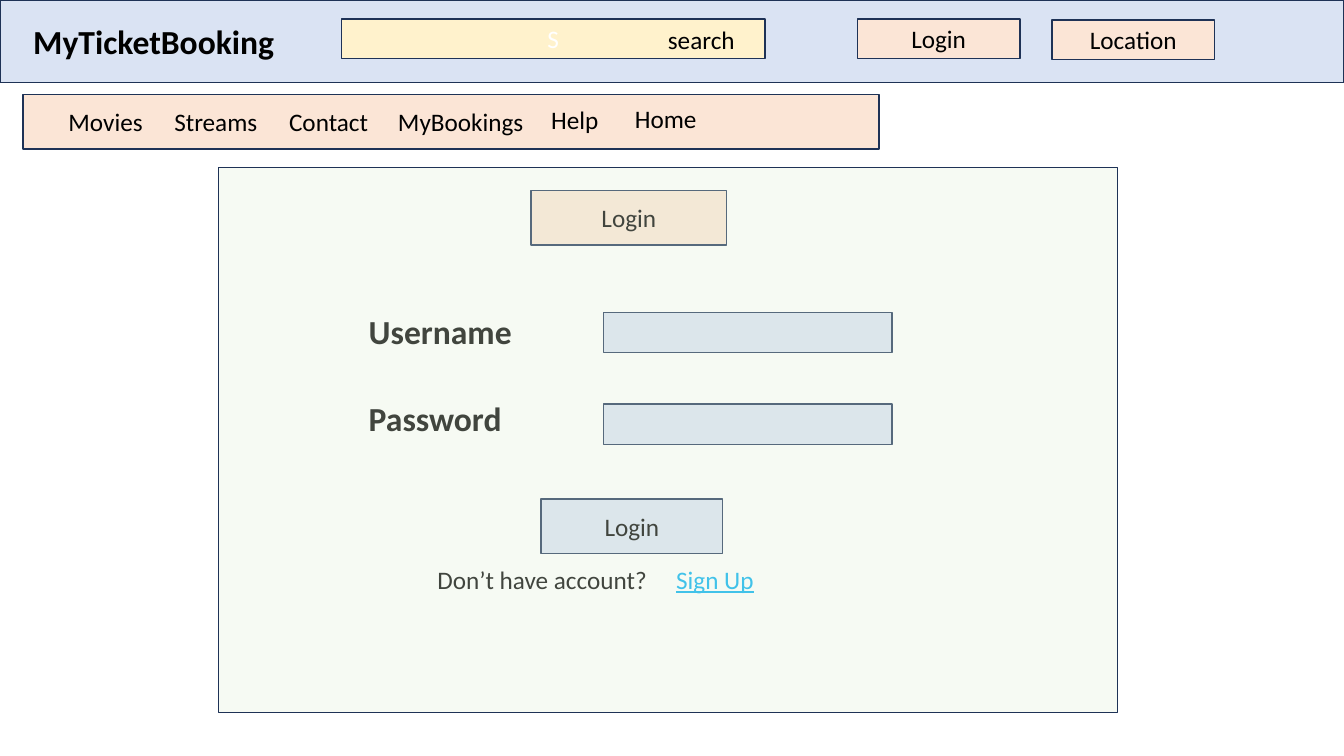
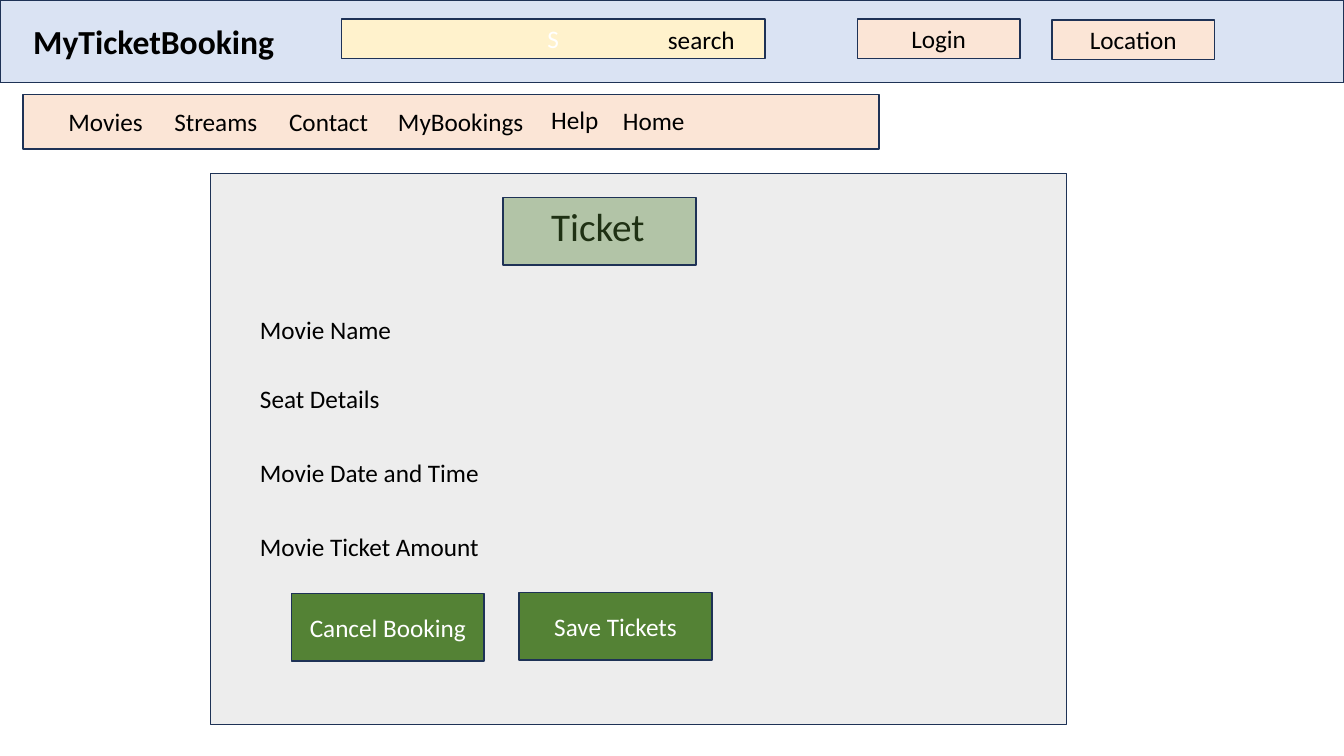
from dataclasses import dataclass

from lxml.etree import SubElement
from pptx import Presentation
from pptx.dml.color import RGBColor
from pptx.enum.shapes import MSO_SHAPE
from pptx.enum.text import MSO_ANCHOR, MSO_AUTO_SIZE, PP_ALIGN
from pptx.oxml.ns import qn
from pptx.util import Pt


@dataclass(frozen=True)
class Theme:
    """Colours and type sizes shared by every slide."""

    font: str = "Calibri"
    body: int = 18
    heading: int = 24
    badge: int = 28
    ink: str = "000000"
    white: str = "FFFFFF"
    outline: str = "1E3256"
    blue: str = "DAE3F3"
    cream: str = "FFF2CC"
    peach: str = "FBE5D6"
    mint: str = "E2F0D9"
    grey: str = "EDEDED"
    green: str = "548235"
    link: str = "00B0F0"


@dataclass(frozen=True)
class Box:
    """A rectangle in points."""

    left: float
    top: float
    width: float
    height: float

    def inside(self, left, top, width, height):
        """Return a box placed relative to this one."""
        return Box(self.left + left, self.top + top, width, height)

    def lengths(self):
        """Return left, top, width and height as lengths."""
        return [Pt(value) for value in (self.left, self.top, self.width, self.height)]


THEME = Theme()
SCREEN = Box(0, 0, 960, 540)
HEADER = SCREEN.inside(0, 0, 960, 59)
MENU = SCREEN.inside(16.5, 67.7, 611.3, 38.9)
LOGIN_PANEL = SCREEN.inside(156.2, 119.5, 642.2, 389.5)
TICKET_PANEL = SCREEN.inside(150.5, 123.8, 611.3, 393.8)
MENU_ITEMS = (
    ("Movies", 25.3, 5),
    ("Streams", 100.9, 5),
    ("Contact", 182.9, 5),
    ("MyBookings", 260.7, 4.7),
    ("Help", 370.1, 3.6),
)


def write(frame, text, size, color, bold=False, underline=False):
    """Fill a text frame with one formatted line."""
    frame.text = text
    for span in frame.paragraphs[0].runs:
        span.font.name = THEME.font
        span.font.size = Pt(size)
        span.font.bold = bold
        span.font.underline = underline
        span.font.color.rgb = RGBColor.from_string(color)


def add_panel(page, box, fill, text="", color=THEME.ink, opacity=100):
    """Add an outlined rectangle with optional centred text."""
    panel = page.shapes.add_shape(MSO_SHAPE.RECTANGLE, *box.lengths())
    panel.shadow.inherit = False
    panel.fill.solid()
    panel.fill.fore_color.rgb = RGBColor.from_string(fill)
    panel.line.color.rgb = RGBColor.from_string(THEME.outline)
    panel.line.width = Pt(1)
    if opacity < 100:
        tint = panel.element.spPr.find(qn("a:solidFill"))[0]
        SubElement(tint, qn("a:alpha")).set("val", str(opacity * 1000))
    if text:
        write(panel.text_frame, text, THEME.body, color)
        panel.text_frame.vertical_anchor = MSO_ANCHOR.MIDDLE
        panel.text_frame.paragraphs[0].alignment = PP_ALIGN.CENTER
    return panel


def add_label(page, box, text, size=THEME.body, color=THEME.ink, bold=False, underline=False):
    """Add a wrapping text box."""
    label = page.shapes.add_textbox(*box.lengths())
    label.text_frame.word_wrap = True
    write(label.text_frame, text, size, color, bold, underline)


def add_brand(page, box, band):
    """Place the title placeholder in front of the header band."""
    title = page.shapes.title
    title.left, title.top, title.width, title.height = box.lengths()
    frame = title.text_frame
    frame.auto_size = MSO_AUTO_SIZE.NONE
    frame.vertical_anchor = MSO_ANCHOR.TOP
    write(frame, "MyTicketBooking", THEME.heading, THEME.ink, bold=True)
    frame.paragraphs[0].alignment = PP_ALIGN.LEFT
    band.element.addnext(title.element)


def add_header(page, box):
    """Draw the top band with brand, search field and buttons."""
    band = add_panel(page, box, THEME.blue)
    add_brand(page, box.inside(16.5, 11.5, 202.3, 36), band)
    add_panel(page, box.inside(244, 13.7, 302.4, 28), THEME.cream, "S", THEME.white)
    add_label(page, box.inside(470, 13.7, 153.4, 28.8), "search")
    add_panel(page, box.inside(612.5, 13.7, 116, 28), THEME.peach, "Login")
    add_panel(page, box.inside(751.5, 14.4, 116, 28), THEME.peach, "Location")


def add_menu(page, box, home_left, home_top):
    """Draw the navigation bar."""
    add_panel(page, box, THEME.peach)
    for text, left, top in MENU_ITEMS + (("Home", home_left, home_top),):
        add_label(page, box.inside(left, top, 110, 28.8), text)


def add_login_form(page, box):
    """Draw the login form under its translucent panel."""
    add_panel(page, box.inside(223.2, 16.6, 139.7, 38.9), THEME.peach, "Login")
    for text, label_top, field_top in (("Username", 99.4, 103.7), ("Password", 161.3, 169.2)):
        add_label(page, box.inside(100.1, label_top, 152, 36), text, THEME.heading, bold=True)
        add_panel(page, box.inside(275.1, field_top, 206, 28.8), THEME.blue)
    add_panel(page, box.inside(230.4, 236.9, 129.6, 38.9), THEME.blue, "Login")
    add_label(page, box.inside(149.1, 280.1, 170, 28.8), "Don’t have account?")
    add_label(page, box.inside(319.7, 280.1, 102, 28.8), "Sign Up", color=THEME.link, underline=True)
    add_panel(page, box, THEME.mint, opacity=29)


def add_ticket(page, box):
    """Draw the ticket summary with its buttons."""
    add_panel(page, box, THEME.grey)
    add_label(page, box.inside(236.1, 17.3, 133, 41), "Ticket", THEME.badge)
    details = (
        ("Movie Name", 97.2),
        ("Seat Details", 146.2),
        ("Movie Date and Time", 199.5),
        ("Movie Ticket Amount", 252),
    )
    for text, top in details:
        add_label(page, box.inside(28.1, top, 190, 28.8), text)
    for text, left, top in (("Cancel Booking", 57.6, 300.3), ("Save Tickets", 220.3, 299.6)):
        add_panel(page, box.inside(left, top, 137.8, 48.2), THEME.green, text, THEME.white)
    add_panel(page, box.inside(208.8, 17.3, 137.8, 48.2), THEME.green, opacity=38)


def add_page(deck, home_left, home_top):
    """Add a slide with the shared header and menu."""
    page = deck.slides.add_slide(deck.slide_layouts.get_by_name("Title Only"))
    add_header(page, HEADER)
    add_menu(page, MENU, home_left, home_top)
    return page


def main():
    """Build and save the deck."""
    deck = Presentation()
    deck.slide_width, deck.slide_height = Pt(SCREEN.width), Pt(SCREEN.height)
    add_login_form(add_page(deck, 429.9, 2.9), LOGIN_PANEL)
    add_ticket(add_page(deck, 421.3, 4.3), TICKET_PANEL)
    deck.save("out.pptx")


if __name__ == "__main__":
    main()
